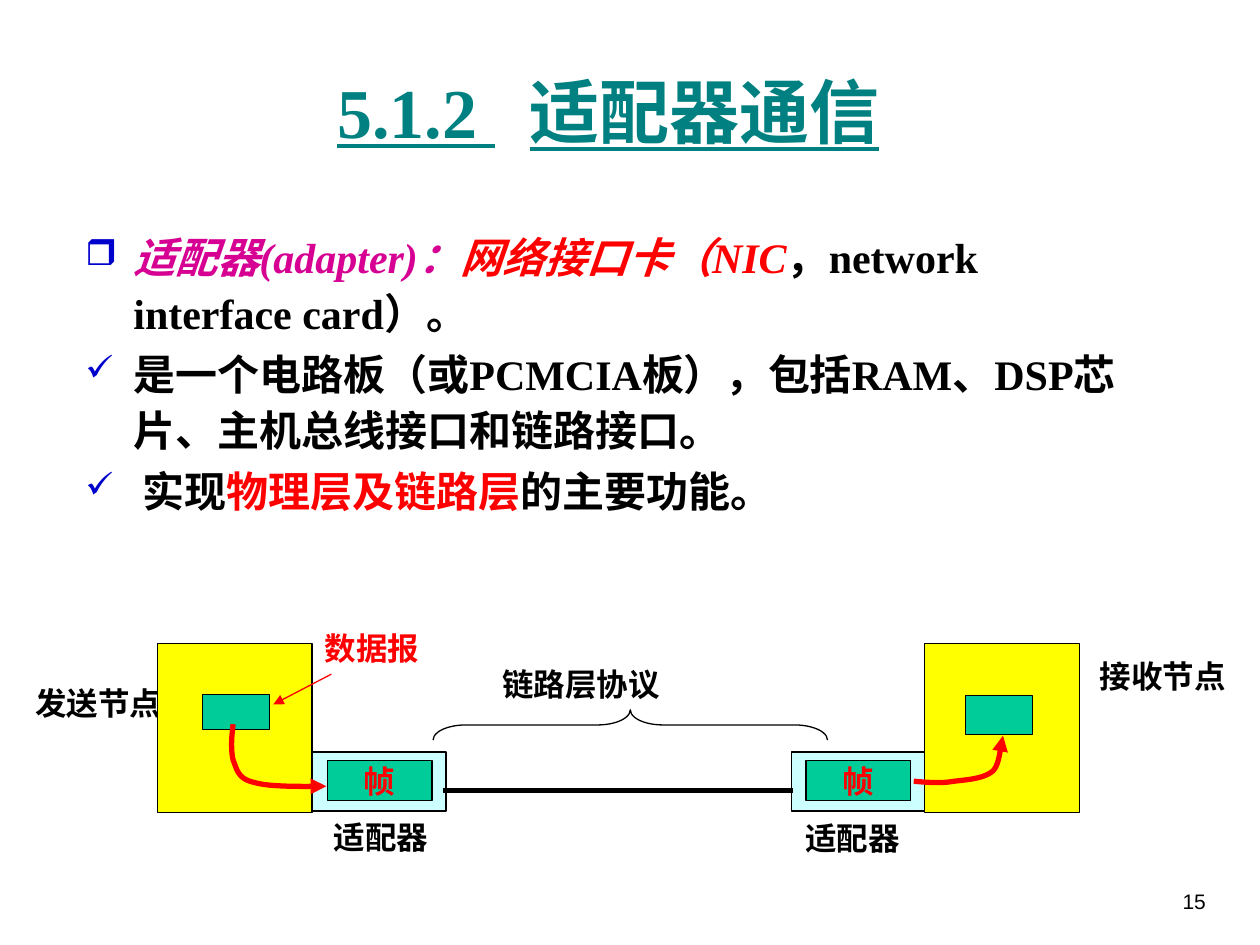
from dataclasses import dataclass

from lxml.etree import SubElement
from pptx import Presentation
from pptx.dml.color import RGBColor
from pptx.enum.shapes import MSO_CONNECTOR, MSO_SHAPE
from pptx.enum.text import MSO_ANCHOR, MSO_AUTO_SIZE, PP_ALIGN
from pptx.oxml.ns import qn
from pptx.util import Cm, Pt


@dataclass(frozen=True)
class Theme:
    black: RGBColor = RGBColor(0x00, 0x00, 0x00)
    red: RGBColor = RGBColor(0xFF, 0x00, 0x00)
    teal: RGBColor = RGBColor(0x00, 0x80, 0x80)
    magenta: RGBColor = RGBColor(0xD6, 0x00, 0x93)
    host: RGBColor = RGBColor(0xFF, 0xFF, 0x00)
    adapter: RGBColor = RGBColor(0xCC, 0xFF, 0xFF)
    data: RGBColor = RGBColor(0x00, 0xCC, 0x99)
    bullet: str = "0000CC"
    serif: str = "Times New Roman"
    label_font: str = "Comic Neue"
    number_font: str = "Arial"
    title_size: Pt = Pt(40)
    body_size: Pt = Pt(24)
    label_size: Pt = Pt(18)
    number_size: Pt = Pt(12)
    thin: Pt = Pt(0.75)
    thick: Pt = Pt(3)


theme = Theme()
presentation = Presentation()
presentation.slide_width, presentation.slide_height = Cm(25.4), Cm(19.05)
slide = presentation.slides.add_slide(presentation.slide_layouts[6])
shapes = slide.shapes


def set_font(font, name, size, color, bold=True):
    font.name, font.size, font.bold = name, size, bold
    font.color.rgb = color


def add_box(left, top, width, height, fill, text=""):
    """Add an outlined rectangle, with a red centred caption if text is given."""
    box = shapes.add_shape(MSO_SHAPE.RECTANGLE, Cm(left), Cm(top), Cm(width), Cm(height))
    box.shadow.inherit = False
    box.fill.solid()
    box.fill.fore_color.rgb = fill
    box.line.color.rgb = theme.black
    box.line.width = theme.thin
    if text:
        box.text_frame.word_wrap = False
        box.text_frame.vertical_anchor = MSO_ANCHOR.MIDDLE
        paragraph = box.text_frame.paragraphs[0]
        paragraph.alignment = PP_ALIGN.CENTER
        paragraph.add_run().text = text
        set_font(paragraph.font, theme.label_font, theme.label_size, theme.red)
        set_font(paragraph.runs[0].font, theme.label_font, theme.label_size, theme.red)


# Slide number
number = shapes.add_textbox(Cm(22.68), Cm(17.78), Cm(1.88), Cm(1.27))
number.text_frame.word_wrap = True
paragraph = number.text_frame.paragraphs[0]
paragraph.text = "15"
paragraph.alignment = PP_ALIGN.RIGHT
set_font(paragraph.font, theme.number_font, theme.number_size, theme.black, bold=False)

# Title: the gap after the section number is one widened space
title = shapes.add_textbox(Cm(1.47), Cm(0.64), Cm(21.59), Cm(3.18))
title.text_frame.word_wrap = True
title.text_frame.vertical_anchor = MSO_ANCHOR.MIDDLE
paragraph = title.text_frame.paragraphs[0]
paragraph.alignment = PP_ALIGN.CENTER
for text in ("5.1.2", " ", "适配器通信"):
    run = paragraph.add_run()
    run.text = text
    if text == " ":
        run.font._element.set("spc", "2000")
set_font(paragraph.font, theme.serif, theme.title_size, theme.teal)
paragraph.font.underline = True

# Body: bullet, then runs of (text, colour, italic)
body_paragraphs = [
    ("❒", [("适配器(adapter)：", theme.magenta, True),
           ("网络接口卡（NIC", theme.red, True),
           ("，network interface card）。", theme.black, False)]),
    ("✓", [("是一个电路板（或PCMCIA板），包括RAM、DSP芯片、主机总线接口和链路接口。",
            theme.black, False)]),
    ("✓", [(" 实现", theme.black, False),
           ("物理层及链路层", theme.red, False),
           ("的主要功能。", theme.black, False)]),
]
body = shapes.add_textbox(Cm(1.47), Cm(4.45), Cm(21.89), Cm(6.53))
body.text_frame.word_wrap = True
for index, (bullet, runs) in enumerate(body_paragraphs):
    paragraph = body.text_frame.add_paragraph() if index else body.text_frame.paragraphs[0]
    paragraph.line_spacing = 1.1
    paragraph.space_before = Pt(3.5 if index else 0)
    properties = paragraph._p.get_or_add_pPr()
    properties.set("marL", str(Cm(0.97)))
    properties.set("indent", str(-Cm(0.97)))
    bullet_color = SubElement(properties, qn("a:buClr"))
    SubElement(bullet_color, qn("a:srgbClr"), val=theme.bullet)
    SubElement(properties, qn("a:buSzPct"), val="85000")
    SubElement(properties, qn("a:buChar"), char=bullet)
    set_font(paragraph.font, theme.serif, theme.body_size, theme.black)
    for text, color, italic in runs:
        run = paragraph.add_run()
        run.text = text
        run.font.color.rgb = color
        run.font.italic = italic

# Diagram labels
labels = [
    ("发送节点", 0.46, 13.67, 3.05, theme.black),
    ("接收节点", 21.92, 13.13, 3.05, theme.black),
    ("数据报", 6.3, 12.55, 2.41, theme.red),
    ("适配器", 6.48, 16.36, 2.41, theme.black),
    ("适配器", 15.98, 16.38, 2.41, theme.black),
    ("链路层协议", 9.88, 13.28, 3.68, theme.black),
]
for text, left, top, width, color in labels:
    label = shapes.add_textbox(Cm(left), Cm(top), Cm(width), Cm(1.02))
    label.text_frame.word_wrap = False
    label.text_frame.auto_size = MSO_AUTO_SIZE.SHAPE_TO_FIT_TEXT
    paragraph = label.text_frame.paragraphs[0]
    paragraph.text = text
    set_font(paragraph.font, theme.label_font, theme.label_size, color)

# Sending and receiving nodes: host left, adapter left, datagram (left, top, height)
nodes = [
    (3.17, 6.3, (4.09, 14.0, 0.71)),
    (18.64, 15.95, (19.46, 14.02, 0.79)),
]
for host_left, adapter_left, (data_left, data_top, data_height) in nodes:
    add_box(adapter_left, 15.16, 2.69, 1.19, theme.adapter)
    add_box(adapter_left + 0.3, 15.33, 2.11, 0.81, theme.data, "帧")
    add_box(host_left, 12.98, 3.12, 3.4, theme.host)
    add_box(data_left, data_top, 1.35, data_height, theme.data)

# Brace over the link
brace = shapes.add_shape(MSO_SHAPE.LEFT_BRACE, Cm(12.4), Cm(10.64), Cm(0.61), Cm(7.95))
brace.rotation = 90
brace.adjustments[0] = 1.08
brace.shadow.inherit = False
brace.fill.background()
brace.line.color.rgb = theme.black
brace.line.width = theme.thin

# Link between the adapters, and the pointer to the datagram
straight_lines = [
    ((8.94, 15.93), (15.98, 15.93), theme.black, theme.thick, False),
    ((6.68, 13.59), (5.51, 14.2), theme.red, theme.thin, True),
]
arrows = []
for (x1, y1), (x2, y2), color, width, has_arrow in straight_lines:
    connector = shapes.add_connector(MSO_CONNECTOR.STRAIGHT, Cm(x1), Cm(y1), Cm(x2), Cm(y2))
    connector.line.color.rgb = color
    connector.line.width = width
    SubElement(connector._element.spPr, qn("a:effectLst"))
    if has_arrow:
        arrows.append(connector)

# Paths of the data: a start point, then two controls and an end per Bézier piece
curves = [
    [(4.7, 14.6), (4.67, 14.86), (4.65, 15.11), (4.7, 15.32), (4.78, 15.52),
     (4.8, 15.7), (5.11, 15.77), (5.44, 15.88), (6.32, 15.85), (6.58, 15.85)],
    [(18.42, 15.75), (18.69, 15.77), (18.95, 15.8), (19.23, 15.75), (19.48, 15.72),
     (19.84, 15.7), (20.02, 15.54), (20.17, 15.39), (20.17, 14.96), (20.22, 14.83)],
]
steps = 12
for curve in curves:
    points = []
    for first in range(0, len(curve) - 1, 3):
        for step in range(1, steps + 1):
            t = step / steps
            weights = ((1 - t) ** 3, 3 * t * (1 - t) ** 2, 3 * t ** 2 * (1 - t), t ** 3)
            points.append(tuple(
                Cm(sum(weight * point[axis] for weight, point in zip(weights, curve[first:first + 4])))
                for axis in (0, 1)))
    builder = shapes.build_freeform(Cm(curve[0][0]), Cm(curve[0][1]))
    builder.add_line_segments(points, close=False)
    path_shape = builder.convert_to_shape()
    path_shape.shadow.inherit = False
    path_shape.fill.background()
    path_shape.line.color.rgb = theme.red
    path_shape.line.width = theme.thick
    arrows.append(path_shape)

for arrow in arrows:
    SubElement(arrow.line._get_or_add_ln(), qn("a:tailEnd"), type="triangle")

presentation.save("out.pptx")
